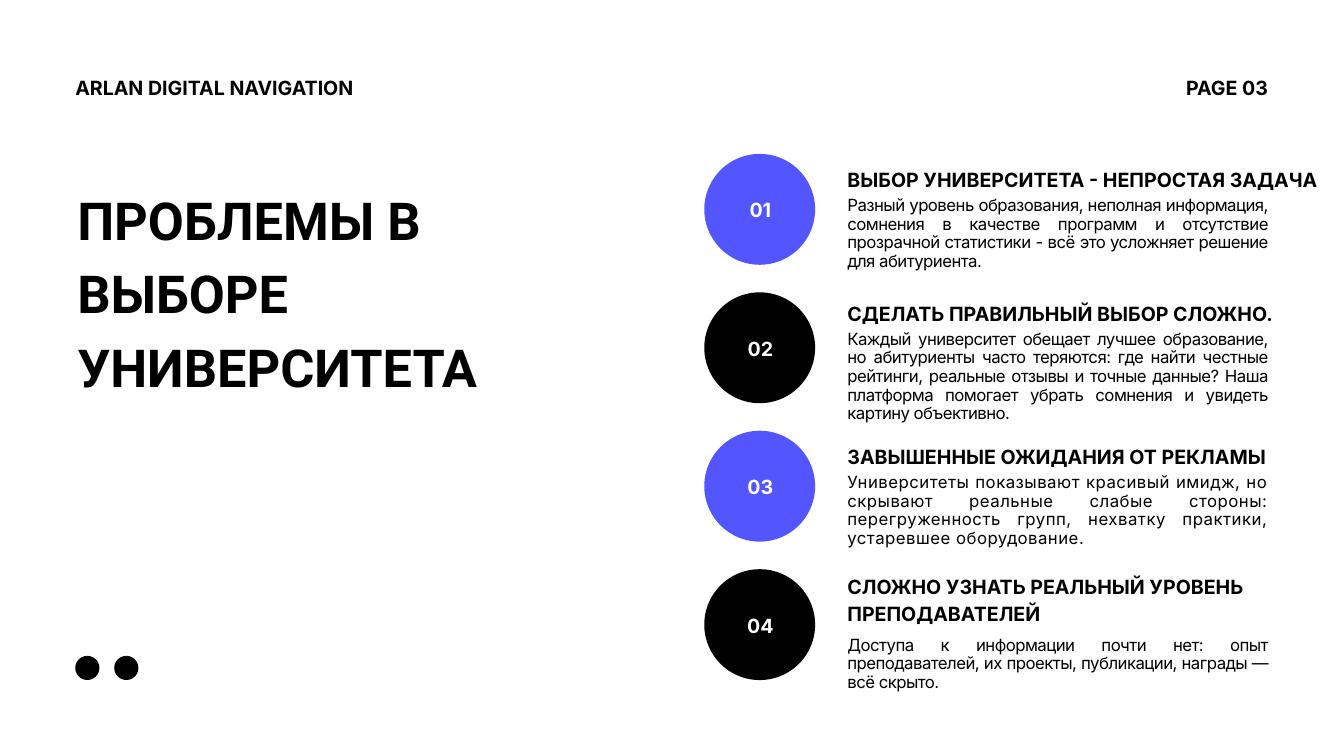
import dataclasses

import pptx
import pptx.dml.color
import pptx.enum.shapes
import pptx.enum.text
import pptx.util

EMU_PER_PX = 9144  # 100 px to the inch
ALIGN = pptx.enum.text.PP_ALIGN


@dataclasses.dataclass(frozen=True)
class Theme:
    black: str = "000000"
    white: str = "FFFFFF"
    accent: str = "5356FF"
    # Text styles: font, size, line spacing, weight
    title = dict(name="Roboto", size=56, leading=78.4, bold=True)
    heading = dict(name="Inter", size=21, leading=29.4, bold=True)
    body = dict(name="Inter", size=18, leading=20, bold=False)


THEME = Theme()

# Heading, heading box (top, width, height), body, body box (top, height), tracking
PROBLEMS = [
    ("ВЫБОР УНИВЕРСИТЕТА - НЕПРОСТАЯ ЗАДАЧА", (244, 739, 40),
     "Разный уровень образования, неполная информация, сомнения в качестве "
     "программ и отсутствие прозрачной статистики - всё это усложняет решение "
     "для абитуриента.", (292, 108), -0.6),
    ("СДЕЛАТЬ ПРАВИЛЬНЫЙ ВЫБОР СЛОЖНО.", (443, 665, 40),
     "Каждый университет обещает лучшее образование, но абитуриенты часто "
     "теряются: где найти честные рейтинги, реальные отзывы и точные данные? "
     "Наша платформа помогает убрать сомнения и увидеть картину объективно.",
     (491, 136), -0.6),
    ("ЗАВЫШЕННЫЕ ОЖИДАНИЯ ОТ РЕКЛАМЫ", (656, 665, 40),
     "Университеты показывают красивый имидж, но скрывают реальные слабые "
     "стороны: перегруженность групп, нехватку практики, устаревшее "
     "оборудование.", (704, 136), 0.5),
    ("СЛОЖНО УЗНАТЬ РЕАЛЬНЫЙ УРОВЕНЬ ПРЕПОДАВАТЕЛЕЙ", (849, 665, 81),
     "Доступа к информации почти нет: опыт преподавателей, их проекты, "
     "публикации, награды — всё скрыто.", (946, 81), -0.6),
]


def px(*lengths):
    return [pptx.util.Emu(length * EMU_PER_PX) for length in lengths]


def set_all(target, values):
    for name, value in values.items():
        setattr(target, name, value)


def fill_text(shape, text, style, color=THEME.black, align=ALIGN.LEFT, tracking=0):
    frame = shape.text_frame
    set_all(frame, dict(
        margin_left=0, margin_top=0, margin_right=0, margin_bottom=0,
        word_wrap=True,
        auto_size=pptx.enum.text.MSO_AUTO_SIZE.SHAPE_TO_FIT_TEXT,
        vertical_anchor=pptx.enum.text.MSO_ANCHOR.TOP,
    ))
    paragraph = frame.paragraphs[0]
    set_all(paragraph, dict(
        alignment=align, line_spacing=pptx.util.Pt(style["leading"])))
    run = paragraph.add_run()
    run.text = text
    set_all(run.font, dict(
        name=style["name"], size=pptx.util.Pt(style["size"]), bold=style["bold"]))
    run.font.color.rgb = pptx.dml.color.RGBColor.from_string(color)
    if tracking:
        run.font._element.set("spc", str(round(tracking * 100)))


def add_title(slide, box, text):
    title = slide.shapes.title
    set_all(title, dict(zip(("left", "top", "width", "height"), px(*box))))
    fill_text(title, text, THEME.title)


def add_text(slide, box, text, style, **options):
    fill_text(slide.shapes.add_textbox(*px(*box)), text, style, **options)


def add_circle(slide, left, top, diameter, color):
    circle = slide.shapes.add_shape(
        pptx.enum.shapes.MSO_SHAPE.OVAL, *px(left, top, diameter, diameter))
    circle.shadow.inherit = False
    circle.fill.solid()
    circle.fill.fore_color.rgb = pptx.dml.color.RGBColor.from_string(color)
    circle.line.fill.background()


def add_problem(slide, index, problem):
    heading, (heading_top, width, height), body, (body_top, body_height), tracking = problem
    circle_top = 229 + 206 * index
    # Numbered circle, colours alternating
    add_circle(slide, 1048, circle_top, 165, (THEME.accent, THEME.black)[index % 2])
    add_text(slide, (1090, circle_top + 60, 83, 40), f"{index + 1:02}",
             THEME.heading, color=THEME.white, align=ALIGN.CENTER)
    # Heading and explanation
    add_text(slide, (1261, heading_top, width, height), heading, THEME.heading)
    add_text(slide, (1261, body_top, 626, body_height), body, THEME.body,
             align=ALIGN.JUSTIFY, tracking=tracking)


def main():
    presentation = pptx.Presentation()
    presentation.slide_width, presentation.slide_height = px(2000, 1125)
    slide = presentation.slides.add_slide(presentation.slide_layouts[5])

    # Title and running header
    add_title(slide, (115, 265, 763, 320), "ПРОБЛЕМЫ В ВЫБОРЕ УНИВЕРСИТЕТА")
    add_text(slide, (112, 107, 415, 40), "ARLAN DIGITAL NAVIGATION", THEME.heading)
    add_text(slide, (1735, 107, 152, 40), "PAGE 03", THEME.heading, align=ALIGN.RIGHT)

    # Problem list
    for index, problem in enumerate(PROBLEMS):
        add_problem(slide, index, problem)

    # Corner dots
    for left in (112, 170):
        add_circle(slide, left, 976, 36, THEME.black)

    presentation.save("out.pptx")


if __name__ == "__main__":
    main()
